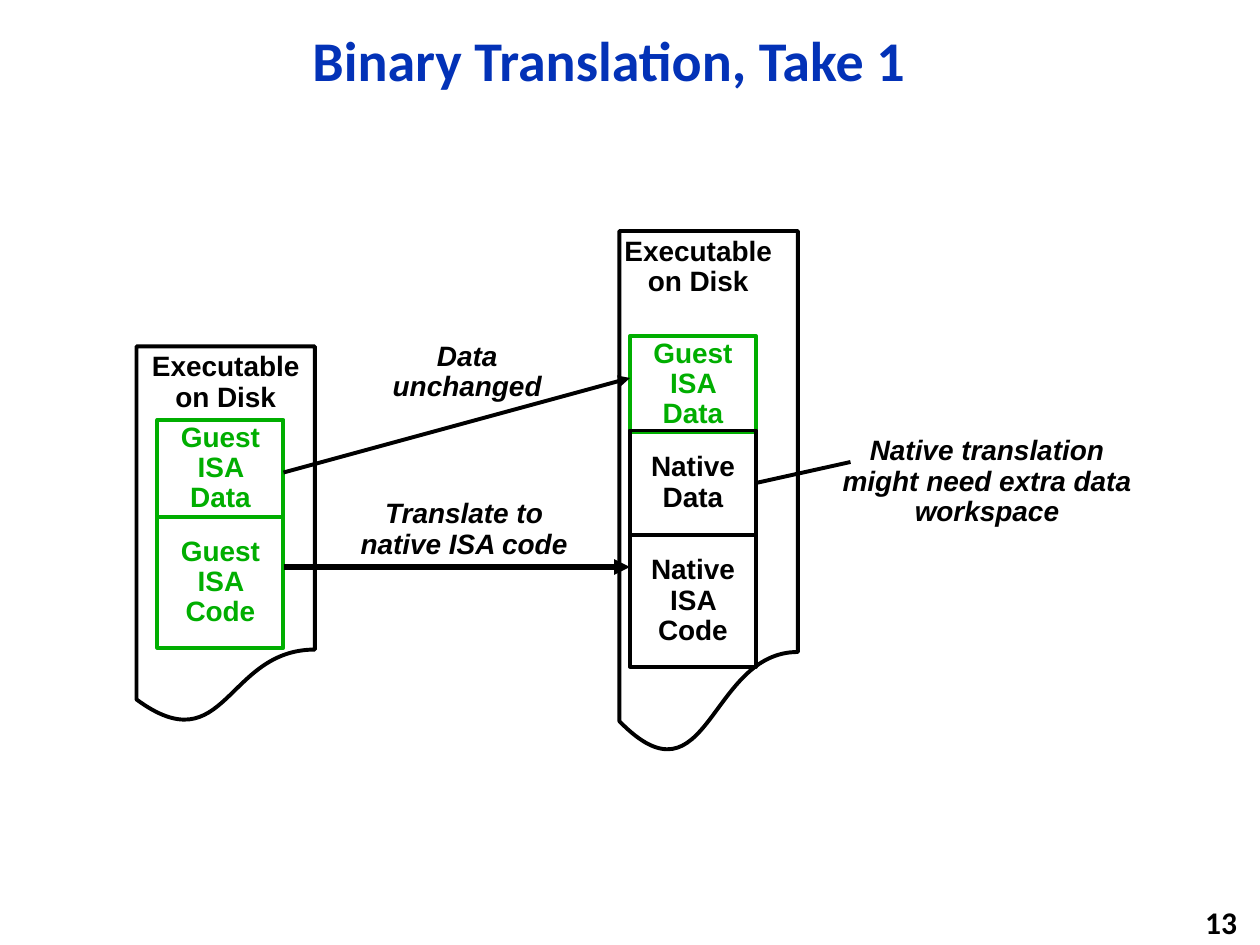
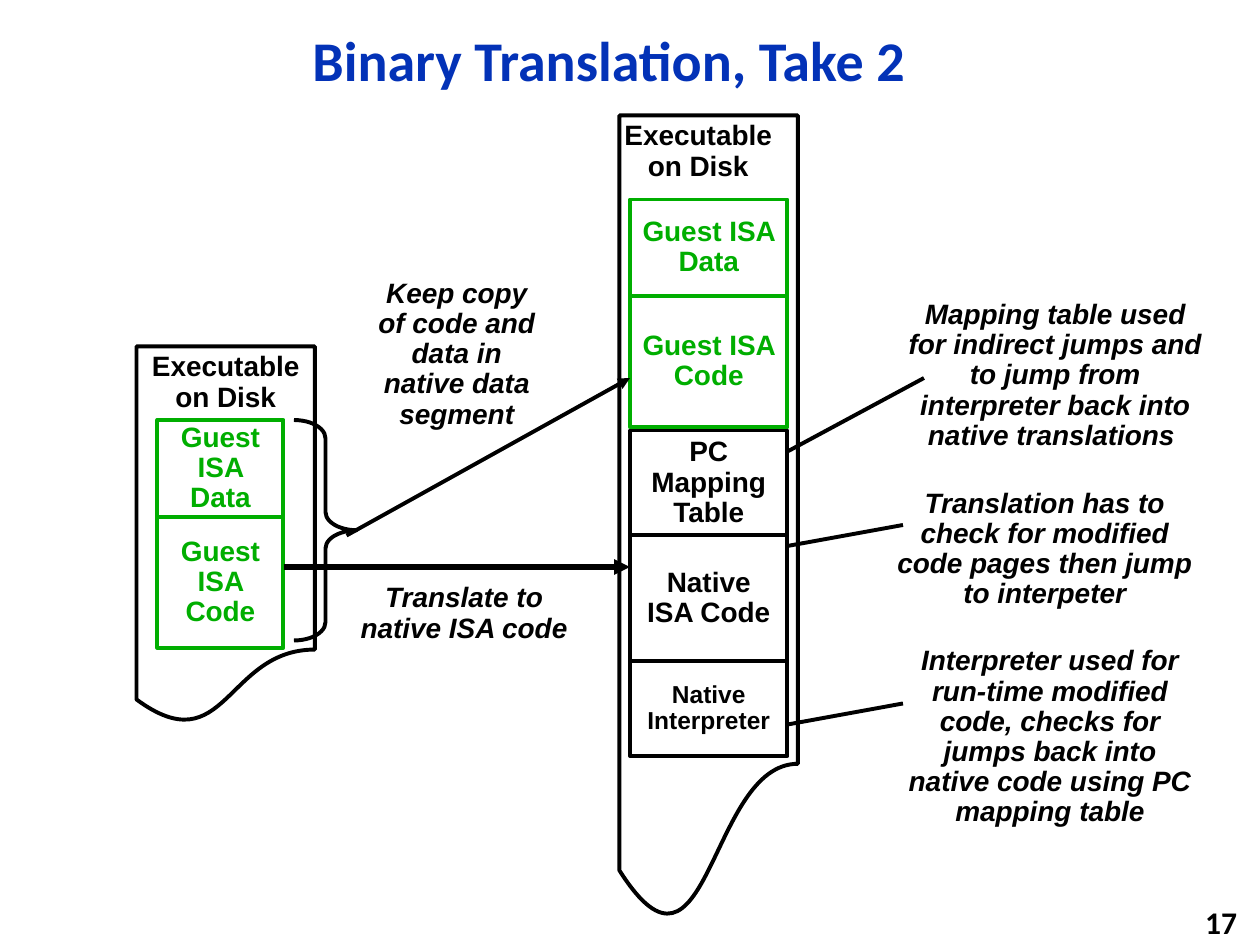
from lxml.etree import SubElement
from pptx import Presentation
from pptx.dml.color import RGBColor
from pptx.enum.shapes import MSO_CONNECTOR, MSO_SHAPE
from pptx.enum.text import MSO_ANCHOR, PP_ALIGN
from pptx.oxml.ns import qn
from pptx.util import Inches, Pt

BLUE, GREEN, BLACK = "0332B7", "00AE00", "000000"
COLS, ROWS = 120, 90
WIDTH, HEIGHT = Inches(10), Inches(7.5)
DATA, CODE = ("Guest ISA Data", 9.2, GREEN), ("Guest ISA Code", 12.5, GREEN)


def color(code):
    return RGBColor.from_string(code)


def cells(*spans):
    """Turn alternating column and row counts into lengths."""
    units = (WIDTH / COLS, HEIGHT / ROWS)
    return [round(span * units[i % 2]) for i, span in enumerate(spans)]


def write(shape, text, size=16, tint=BLACK, font="Arial", italic=False,
          align=PP_ALIGN.CENTER, anchor=MSO_ANCHOR.MIDDLE):
    frame = shape.text_frame
    frame.word_wrap = True
    frame.vertical_anchor = anchor
    para = frame.paragraphs[0]
    para.alignment = align
    para.line_spacing = 0.9
    run = para.add_run()
    run.text = text
    face = run.font
    face.name, face.size, face.bold, face.italic = font, Pt(size), True, italic
    face.color.rgb = color(tint)


def label(slide, text, area, **style):
    write(slide.shapes.add_textbox(*cells(*area)), text, **style)


def note(slide, text, area):
    label(slide, text, area, italic=True, anchor=MSO_ANCHOR.TOP)


def outline(slide, kind, area, tint=BLACK):
    shape = slide.shapes.add_shape(kind, *cells(*area))
    shape.shadow.inherit = False
    shape.fill.background()
    shape.line.color.rgb = color(tint)
    shape.line.width = Pt(2.25)
    return shape


def link(slide, start, end, width=2.25, arrow=False):
    line = slide.shapes.add_connector(MSO_CONNECTOR.STRAIGHT, *cells(*start, *end))
    line.line.color.rgb = color(BLACK)
    line.line.width = Pt(width)
    if arrow:
        SubElement(line.line._get_or_add_ln(), qn("a:tailEnd"), type="triangle")
    SubElement(line._element.spPr, qn("a:effectLst"))


def stack(slide, left, top, width, blocks):
    """Pile up blocks of (text, height, colour and optional text size)."""
    for text, height, tint, *size in blocks:
        box = outline(slide, MSO_SHAPE.RECTANGLE, (left, top, width, height), tint)
        write(box, text, *(size or [16]), tint=tint)
        top += height


def disk(slide, left, top, height, shift=0):
    """Draw an executable file, its heading moved sideways by shift."""
    outline(slide, MSO_SHAPE.FLOWCHART_DOCUMENT, (left, top, 17, height))
    label(slide, "Executable on Disk", (left + shift, top, 17, 7),
          anchor=MSO_ANCHOR.TOP)


def base(deck, title, page, row):
    """Start a slide with the guest file and its translation arrow."""
    slide = deck.slides.add_slide(deck.slide_layouts[6])
    label(slide, title, (11, 0, 94, 12), size=32, tint=BLUE, font="Calibri")
    label(slide, page, (94, 86.1, 25, 3.9), size=18, font="Calibri",
          align=PP_ALIGN.RIGHT)
    stack(slide, 15, 40, 12, [DATA, CODE])
    disk(slide, 13, 33, 36)
    link(slide, (27, 54), (60, 54), 3, arrow=True)
    note(slide, "Translate to native ISA code", (32, row, 24.4, 7))
    return slide


def first(deck):
    slide = base(deck, "Binary Translation, Take 1", "13", 47)
    disk(slide, 59, 22, 50, -1)
    stack(slide, 60, 32, 12, [DATA])
    stack(slide, 60, 41, 12, [("Native Data", 10, BLACK),
                              ("Native ISA Code", 12.5, BLACK)])
    link(slide, (27, 45), (60, 36), arrow=True)
    note(slide, "Data unchanged", (35, 32, 19, 7))
    note(slide, "Native translation might need extra data workspace",
         (79, 41, 30, 10))
    link(slide, (72, 46), (81, 44))


def second(deck):
    slide = base(deck, "Binary Translation, Take 2", "17", 55)
    disk(slide, 59, 11, 77, -1)
    stack(slide, 60, 19, 15, [DATA, CODE])
    stack(slide, 60, 41, 15, [("PC Mapping Table", 10, BLACK),
                              ("Native ISA Code", 12, BLACK),
                              ("Native Interpreter", 9, BLACK, 14)])
    brace = outline(slide, MSO_SHAPE.RIGHT_BRACE, (28, 40, 6, 21))
    brace.adjustments[0] = 0.29
    link(slide, (33, 51), (60, 36), arrow=True)
    note(slide, "Keep copy of code and data in native data segment",
         (34, 26, 19, 16))
    remarks = [
        ("Mapping table used for indirect jumps and to jump from interpreter "
         "back into native translations ", (85, 28, 31, 16), (75, 43), (88, 36)),
        ("Translation has to check for modified code pages then jump to "
         "interpeter", (84, 46, 31, 13), (75, 52), (86, 50)),
        ("Interpreter used for run-time modified code, checks for jumps back "
         "into native code using PC mapping table",
         (85, 61, 30, 19), (75, 69), (86, 67)),
    ]
    for text, area, start, end in remarks:
        note(slide, text, area)
        link(slide, start, end)


def main():
    deck = Presentation()
    deck.slide_width, deck.slide_height = WIDTH, HEIGHT
    first(deck)
    second(deck)
    deck.save("out.pptx")


if __name__ == "__main__":
    main()
